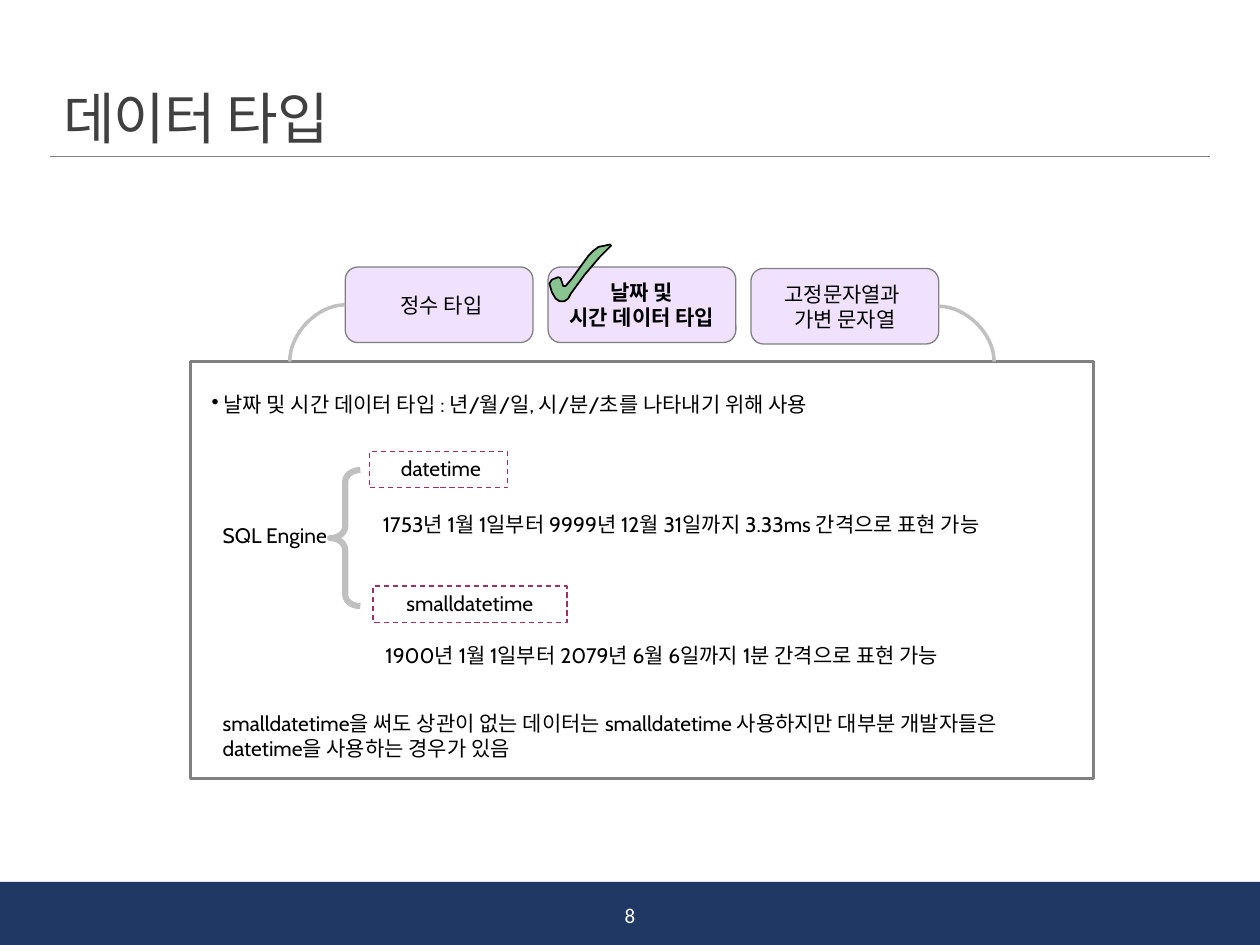
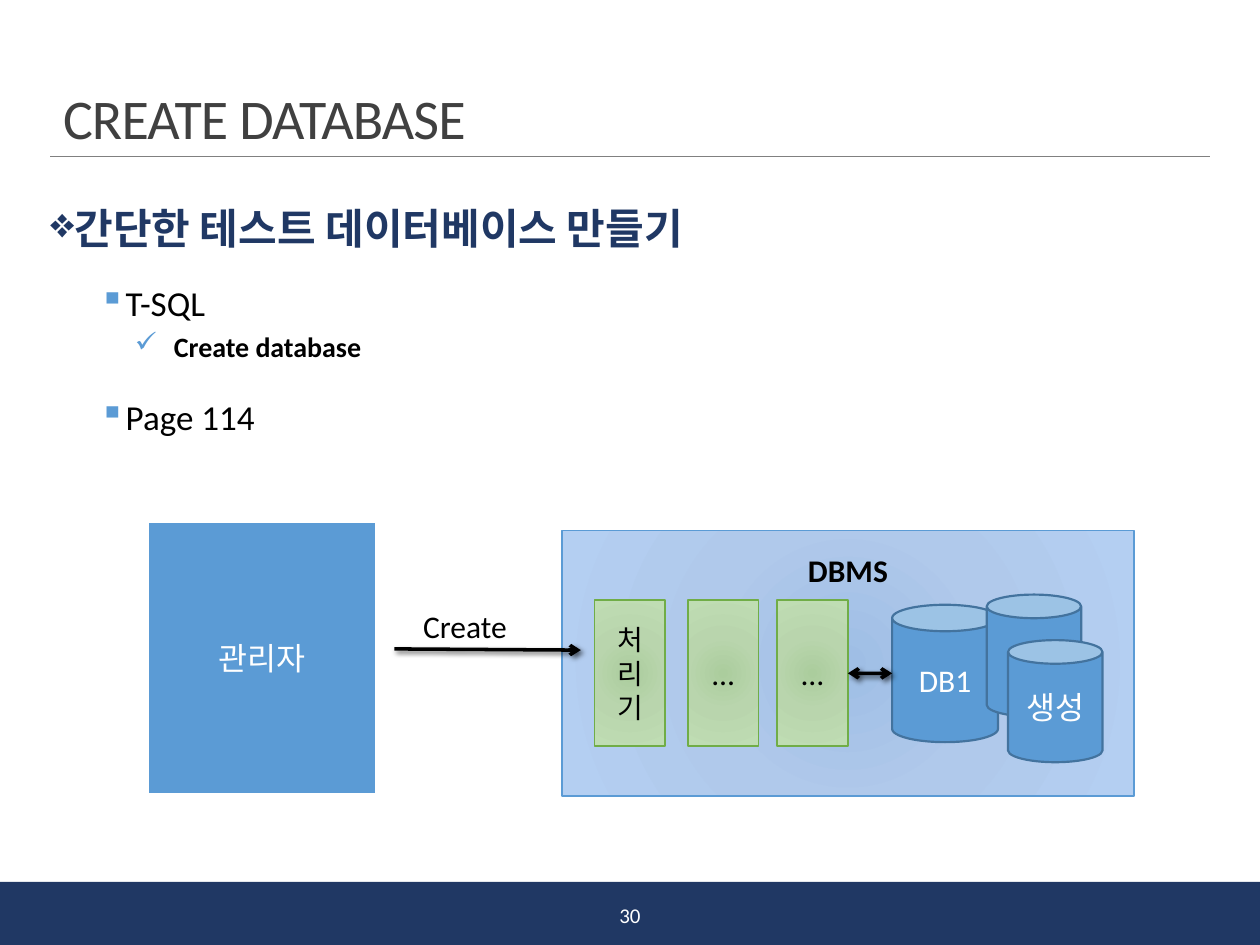
from lxml.etree import SubElement
from pptx import Presentation
from pptx.dml.color import RGBColor
from pptx.enum.dml import MSO_LINE
from pptx.enum.shapes import MSO_CONNECTOR as CONNECTOR, MSO_SHAPE as SHAPE
from pptx.enum.text import MSO_ANCHOR as ANCHOR, PP_ALIGN as ALIGN
from pptx.oxml import parse_xml
from pptx.oxml.ns import nsdecls, qn
from pptx.util import Pt

COLORS = {
    "navy": "203864", "gray": "808080", "silver": "C0C0C0", "title": "404040",
    "white": "FFFFFF", "black": "000000", "lilac": "CC99FF", "plum": "993366",
    "check": "8AC491", "blue": "5B9BD5", "blue edge": "43739E", "green": "70AD47",
}
GRADIENTS = {
    "blue": ("9FBEE5", "B0C9EB", "B4CFF2"),
    "green": ("ABCD9D", "B9D5AD", "BFDDB3"),
}


def add_box(slide, kind, bounds, fill=None, line=None, width=0.75):
    """Add a preset shape, or a text box when kind is None; bounds are points."""
    bounds = [Pt(value) for value in bounds]
    if kind is None:
        return slide.shapes.add_textbox(*bounds)
    shape = slide.shapes.add_shape(kind, *bounds)
    shape.shadow.inherit = False
    if fill:
        shape.fill.solid()
        shape.fill.fore_color.rgb = RGBColor.from_string(COLORS[fill])
    else:
        shape.fill.background()
    if line:
        shape.line.color.rgb = RGBColor.from_string(COLORS[line])
        shape.line.width = Pt(width)
    else:
        shape.line.fill.background()
    return shape


def write(shape, text, size, color="black", font="Calibri", bold=False,
          align=ALIGN.CENTER, anchor=ANCHOR.MIDDLE, spacing=None):
    frame = shape.text_frame
    frame.text = text
    frame.word_wrap = True
    frame.vertical_anchor = anchor
    for paragraph in frame.paragraphs:
        paragraph.alignment = align
        paragraph.line_spacing = spacing
        for run in paragraph.runs:
            run.font.size = Pt(size)
            run.font.name = font
            run.font.bold = bold
            run.font.color.rgb = RGBColor.from_string(COLORS[color])


presentation = Presentation()
presentation.slide_width = Pt(720)
presentation.slide_height = Pt(540)

# Shared frame: title, rule, footer band and page number
slides = []
for title_text, number in (("데이터 타입", "8"), ("CREATE DATABASE", "30")):
    slide = presentation.slides.add_slide(presentation.slide_layouts[5])
    slides.append(slide)
    title = slide.shapes.title
    title.left, title.top, title.width, title.height = Pt(28.8), Pt(30.2), Pt(662.4), Pt(59.8)
    write(title, title_text, 32, "title", align=ALIGN.LEFT, anchor=ANCHOR.BOTTOM, spacing=0.85)
    title.text_frame.paragraphs[0].runs[0].font._element.set("spc", "-50")
    add_box(slide, SHAPE.RECTANGLE, (0, 504, 720, 36), "navy")
    rule = slide.shapes.add_connector(CONNECTOR.STRAIGHT, Pt(28.8), Pt(89.3), Pt(691.2), Pt(89.3))
    rule.line.color.rgb = RGBColor.from_string(COLORS["gray"])
    rule.line.width = Pt(0.5)
    write(add_box(slide, None, (321, 508.3, 78, 28.8)), number, 12, "white")
types_slide, create_slide = slides

# Slide 1: tabs over a panel
add_box(types_slide, SHAPE.RECTANGLE, (108.7, 206.6, 516.2, 238.3), line="gray", width=1.75)
tabs = (
    (" 정수 타입", 152.6, False),
    ("날짜 및\v시간 데이터 타입", 152.6, True),
    ("고정문자열과 \n가변 문자열", 153.4, False),
)
for index, (text, top, selected) in enumerate(tabs):
    tab = add_box(types_slide, SHAPE.ROUNDED_RECTANGLE,
                  (197.3 + 115.9 * index, top, 107.3, 43.2), "lilac", "gray")
    tab_color = tab._element.spPr.find(qn("a:solidFill")).find(qn("a:srgbClr"))
    SubElement(tab_color, qn("a:alpha"), val="29000")
    write(tab, text, 12, font="Cabin", bold=selected)

for start_x, start_y, end_x in ((536.4, 175, 568.1), (197.3, 174.2, 165.6)):
    arc = types_slide.shapes.add_connector(
        CONNECTOR.CURVE, Pt(start_x), Pt(start_y), Pt(end_x), Pt(206.6))
    arc._element.spPr.find(qn("a:prstGeom")).set("prst", "curvedConnector2")
    arc.line.color.rgb = RGBColor.from_string(COLORS["silver"])
    arc.line.width = Pt(2)

check_points = [
    (349.2, 140.4), (342.7, 146.9), (334.1, 157), (326.2, 167.8), (324.7, 170.6),
    (322.6, 172.1), (319.7, 172.1), (317.5, 170.6), (315.4, 167), (313.9, 162),
    (315.4, 159.8), (319, 158.4), (320.4, 159.1), (321.8, 163.4), (323.3, 163.4),
    (326.9, 159.1), (332.6, 151.2), (336.2, 146.2), (339.1, 143.3), (342, 141.1),
    (345.6, 140.4), (348.5, 139.7),
]
check_points = [(Pt(x), Pt(y)) for x, y in check_points]
builder = types_slide.shapes.build_freeform(*check_points[0])
builder.add_line_segments(check_points[1:], close=True)
check_mark = builder.convert_to_shape()
check_mark.shadow.inherit = False
check_mark.fill.solid()
check_mark.fill.fore_color.rgb = RGBColor.from_string(COLORS["check"])
check_mark.line.color.rgb = RGBColor.from_string(COLORS["black"])
check_mark.line.width = Pt(1)

notes = (
    (" 날짜 및 시간 데이터 타입 : 년/월/일, 시/분/초를 나타내기 위해 사용", (113.8, 220.3, 430, 21.6)),
    ("SQL Engine", (120.2, 295.2, 80, 21.6)),
    ("1753년 1월 1일부터 9999년 12월 31일까지 3.33ms 간격으로 표현 가능", (211.7, 288.7, 390, 36)),
    ("1900년 1월 1일부터 2079년 6월 6일까지 1분 간격으로 표현 가능", (213.1, 363.6, 362, 36)),
    ("smalldatetime을 써도 상관이 없는 데이터는 smalldatetime 사용하지만 "
     "대부분 개발자들은 datetime을 사용하는 경우가 있음", (120.2, 402.5, 490.3, 36)),
)
for index, (text, bounds) in enumerate(notes):
    note = add_box(types_slide, None, bounds)
    write(note, text, 12, font="Cabin", align=ALIGN.LEFT, anchor=ANCHOR.TOP)
    if index == 0:
        properties = note.text_frame.paragraphs[0]._p.get_or_add_pPr()
        SubElement(properties, qn("a:buChar"), char="•")

brace = add_box(types_slide, SHAPE.RIGHT_BRACE, (188.6, 268.6, 17.3, 77.8), line="silver", width=3.5)
brace.rotation = 180
brace.adjustments[0] = 0.38
for text, bounds in ((" datetime", (211, 257.8, 79.2, 20.9)),
                     ("smalldatetime", (213.1, 334.8, 110.9, 20.9))):
    type_box = add_box(types_slide, SHAPE.RECTANGLE, bounds, line="plum")
    type_box.line.dash_style = MSO_LINE.DASH
    write(type_box, text, 12, font="Cabin", spacing=0.9)

# Slide 2: outline
outline = add_box(create_slide, None, (28.8, 97.9, 662.4, 373))
outline.text_frame.margin_left = outline.text_frame.margin_right = 0
items = (
    ("간단한 테스트 데이터베이스 만들기", 0),
    ("T-SQL", 1),
    ("Create database", 2),
    ("Page 114", 1),
)
# Per level: bullet, bullet colour, left margin, hanging, size, text colour, bold, spacing
levels = (
    ("❖", "navy", 7.2, 7.2, 24, "navy", True, 1.5),
    ("▪", "blue", 42.5, 14.4, 20, "black", False, 1.5),
    ("✓", "blue", 70.6, 22.3, 16, "black", True, 0.9),
)
write(outline, "\n".join(text for text, level in items), 20, align=ALIGN.JUSTIFY, anchor=ANCHOR.TOP)
for paragraph, (text, level) in zip(outline.text_frame.paragraphs, items):
    bullet, bullet_color, margin, hanging, size, color, bold, spacing = levels[level]
    properties = paragraph._p.get_or_add_pPr()
    properties.set("marL", str(Pt(margin)))
    properties.set("indent", str(-Pt(hanging)))
    SubElement(SubElement(properties, qn("a:buClr")), qn("a:srgbClr"), val=COLORS[bullet_color])
    SubElement(properties, qn("a:buChar"), char=bullet)
    paragraph.level = level
    paragraph.line_spacing = spacing
    paragraph.space_before = Pt(2 if level else 0)
    paragraph.space_after = Pt(4 if level else 2)
    font = paragraph.runs[0].font
    font.size = Pt(size)
    font.bold = bold
    font.color.rgb = RGBColor.from_string(COLORS[color])

# Slide 2: administrator, DBMS and its parts
dbms = add_box(create_slide, SHAPE.RECTANGLE, (321.1, 303.1, 326.9, 151.9), "blue", "blue", 1)
write(dbms, "DBMS", 18, bold=True, anchor=ANCHOR.TOP)
dbms.text_frame.margin_top = Pt(11.5)
first_database = add_box(create_slide, SHAPE.CAN, (509.8, 345.6, 60.5, 78.5), "blue", "blue edge", 1.25)
write(first_database, "DB1", 18, "white")

processors = []
for text, left, size in (("처리기", 339.8, 16), ("…", 393.1, 18), ("…", 444.2, 18)):
    processor = add_box(create_slide, SHAPE.RECTANGLE, (left, 343, 40.3, 83.5), "green", "green", 1)
    write(processor, text, size)
    processors.append(processor)

for shape, name in [(dbms, "blue")] + [(processor, "green") for processor in processors]:
    stops = "".join(
        f'<a:gs pos="{position}"><a:srgbClr val="{color}"/></a:gs>'
        for position, color in zip((0, 45000, 100000), GRADIENTS[name]))
    gradient = parse_xml(
        f'<a:gradFill {nsdecls("a")} rotWithShape="1"><a:gsLst>{stops}</a:gsLst>'
        '<a:path path="circle"><a:fillToRect l="100000" t="100000" r="100000" b="100000"/>'
        '</a:path></a:gradFill>')
    solid = shape._element.spPr.find(qn("a:solidFill"))
    solid.getparent().replace(solid, gradient)

administrator = add_box(create_slide, SHAPE.RECTANGLE, (84.2, 298.1, 131, 156.2), "blue", "white", 2)
write(administrator, "관리자", 18, "white")

create_arrow = create_slide.shapes.add_connector(
    CONNECTOR.STRAIGHT, Pt(225.4), Pt(370.8), Pt(331.9), Pt(371.5))
data_arrow = create_slide.shapes.add_connector(
    CONNECTOR.STRAIGHT, Pt(484.5), Pt(384.8), Pt(509.8), Pt(384.8))
data_arrow.begin_connect(processors[-1], 3)
for arrow, ends in ((create_arrow, ["tailEnd"]), (data_arrow, ["headEnd", "tailEnd"])):
    arrow.line.color.rgb = RGBColor.from_string(COLORS["black"])
    arrow.line.width = Pt(2)
    for end in ends:
        SubElement(arrow.line._get_or_add_ln(), qn(f"a:{end}"), type="arrow")
    arrow._element.spPr.append(parse_xml(
        f'<a:effectLst {nsdecls("a")}><a:outerShdw blurRad="{Pt(3)}" dist="{Pt(2)}" dir="2700000">'
        f'<a:srgbClr val="{COLORS["black"]}"><a:alpha val="60000"/></a:srgbClr>'
        '</a:outerShdw></a:effectLst>'))
write(add_box(create_slide, None, (225.4, 343.4, 80.6, 28.8)), "Create", 18, anchor=ANCHOR.TOP)

add_box(create_slide, SHAPE.CAN, (563.8, 339.8, 54, 69.8), "blue", "blue edge", 1.25)
new_database = add_box(create_slide, SHAPE.CAN, (576, 365.8, 54, 69.8), "blue", "blue edge", 1.25)
write(new_database, "생성", 18, "white")

# Connectors without a shadow of their own get an empty effect list
for slide in slides:
    for connector in slide.shapes._spTree.findall(qn("p:cxnSp")):
        if connector.spPr.find(qn("a:effectLst")) is None:
            SubElement(connector.spPr, qn("a:effectLst"))

presentation.save("out.pptx")
